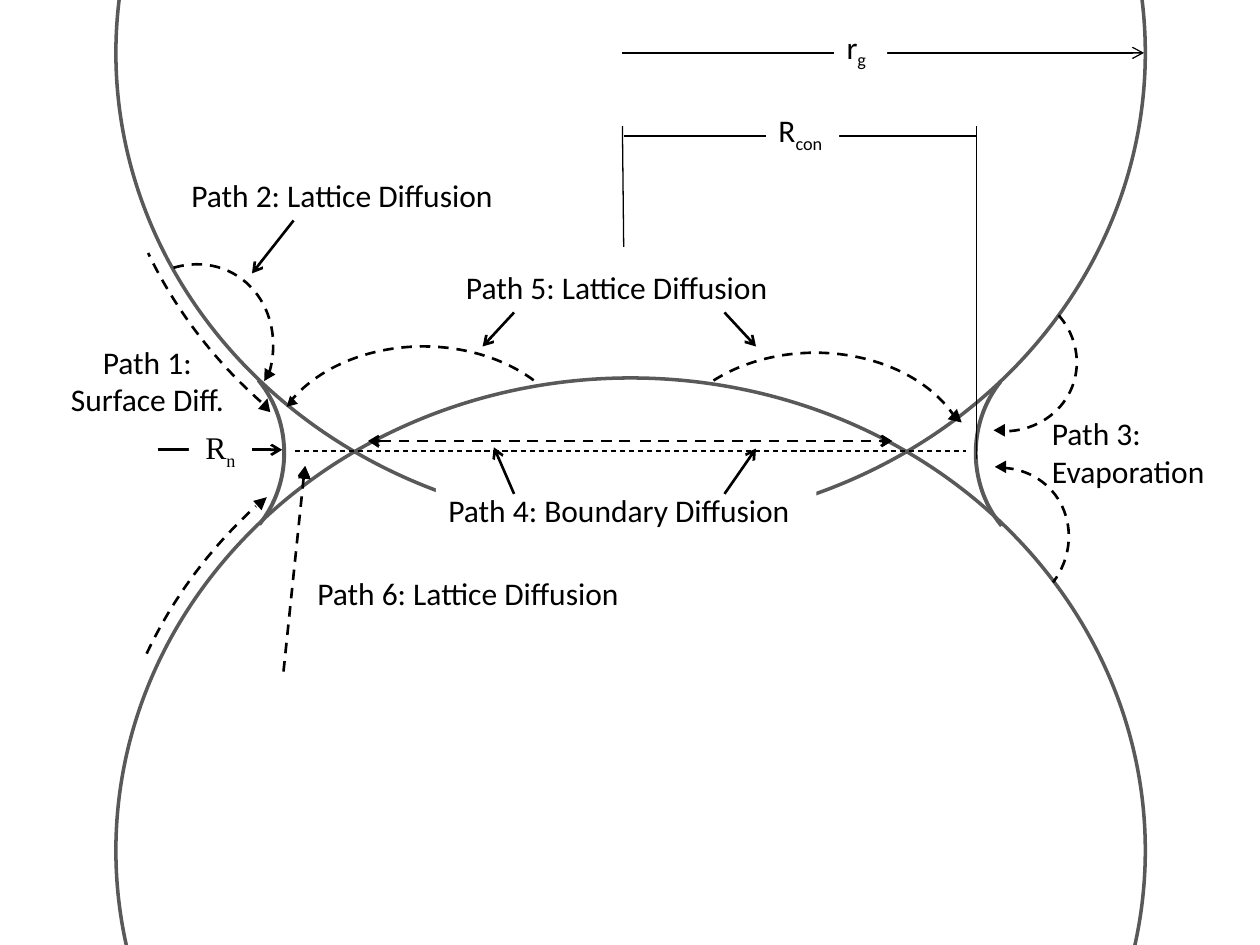
import pptx
import pptx.util
import pptx.dml.color
import pptx.enum.dml
import pptx.enum.shapes
import pptx.enum.text
import pptx.oxml
import pptx.oxml.ns
from pptx.util import Inches

BLACK = pptx.dml.color.RGBColor(0, 0, 0)
WHITE = pptx.dml.color.RGBColor(255, 255, 255)
GREY = pptx.dml.color.RGBColor(0x59, 0x59, 0x59)
KIND = pptx.enum.shapes.MSO_SHAPE
ALIGN = pptx.enum.text.PP_ALIGN


def child(parent, tag, **attrs):
    """Append a drawing element to a parent element."""
    node = pptx.oxml.parse_xml(f"<a:{tag} {pptx.oxml.ns.nsdecls('a')}/>")
    for name, value in attrs.items():
        node.set(name, value)
    parent.append(node)


def stroke(line, color, width, dash):
    """Set the look of an outline."""
    line.color.rgb = color
    line.width = pptx.util.Pt(width)
    if dash:
        line.dash_style = pptx.enum.dml.MSO_LINE.DASH


class Region:
    """A part of the slide whose items are placed from its top left corner."""

    def __init__(self, slide, left, top):
        """Keep the slide's shapes and the corner."""
        self.shapes, self.left, self.top = slide.shapes, left, top

    def place(self, x, y):
        """Turn a local point into slide lengths."""
        return Inches(self.left + x), Inches(self.top + y)

    def shape(self, kind, x, y, w, h, turn=0):
        """Add a plain preset shape."""
        item = self.shapes.add_shape(kind, *self.place(x, y), Inches(w), Inches(h))
        item.rotation = turn
        item.shadow.inherit = False
        return item

    def curve(self, kind, box, turn=0, ends=(), color=BLACK, width=1.5, dash=True):
        """Add an unfilled arc or ellipse."""
        item = self.shape(kind, *box, turn)
        item.fill.background()
        stroke(item.line, color, width, dash)
        for i, end in enumerate(ends):
            item.adjustments[i] = end

    def arc(self, box, turn, ends, **look):
        """Add an open arc, dashed unless told otherwise."""
        self.curve(KIND.ARC, box, turn, ends, **look)

    def tip(self, x, y, w, h, turn):
        """Add a solid triangle as the head of a path."""
        item = self.shape(KIND.ISOSCELES_TRIANGLE, x, y, w, h, turn)
        item.fill.solid()
        item.fill.fore_color.rgb = BLACK
        item.line.fill.background()

    def line(self, start, end, width=1.5, dash=False, arrow=True):
        """Add a straight line, with an arrowhead at its end by default."""
        item = self.shapes.add_connector(
            pptx.enum.shapes.MSO_CONNECTOR.STRAIGHT,
            *self.place(*start), *self.place(*end))
        stroke(item.line, BLACK, width, dash)
        if arrow:
            child(item.line._get_or_add_ln(), "tailEnd", type="arrow")
        child(item._element.spPr, "effectLst")

    def label(self, x, y, w, h, lines, sub="", align=ALIGN.LEFT, font="Calibri"):
        """Add a white text box, with an optional subscript."""
        item = self.shapes.add_textbox(*self.place(x, y), Inches(w), Inches(h))
        item.fill.solid()
        item.fill.fore_color.rgb = WHITE
        frame = item.text_frame
        frame.word_wrap = True
        frame.auto_size = pptx.enum.text.MSO_AUTO_SIZE.SHAPE_TO_FIT_TEXT
        para = frame.paragraphs[0]
        para.alignment = align
        for i, text in enumerate(lines):
            if i:
                para.add_line_break()
            add_run(para, text, font)
        if sub:
            run = add_run(para, sub, font)
            run._r.get_or_add_rPr().set("baseline", "-25000")


def add_run(para, text, font):
    """Add one run of label text."""
    run = para.add_run()
    run.text = text
    run.font.name = font
    run.font.size = pptx.util.Pt(18)
    run.font.color.rgb = BLACK
    return run


def surface(area):
    """Path 1: along both grain surfaces to the neck."""
    area.label(0, 0, 1.5, 0.71, ["Path 1:", "Surface Diff."], align=ALIGN.CENTER)
    for y, ends in ((-5.92, (190.03, 202.86)), (0.25, (12.91, 25.51))):
        area.arc((0.41, y, 8.19, 7.5), 180, ends)
    area.tip(1.61, 1.26, 0.1, 0.1, 48.1)
    area.tip(1.64, 0.49, 0.1, 0.1, 14.9)


def grains(area):
    """Two round grains and the necks that join them."""
    for y in (0, 6.33):
        area.curve(KIND.OVAL, (0.38, y, 8.17, 7.5), color=GREY, width=2, dash=False)
    for x, turn in ((0, 90), (7.16, 270)):
        area.arc((x, 6.09, 1.76, 1.67), turn, (136.52, 187.03),
                 color=GREY, width=2.25, dash=False)


def upper(area):
    """Path 2: through the lattice of the upper grain."""
    area.label(0.65, 0, 2.67, 0.4, ["Path 2: Lattice Diffusion"])
    area.line((1.56, 0.4), (1.23, 0.82))
    area.arc((0, 0.81, 1.46, 1.3), 298.6, (192.78, 46.44))
    area.tip(1.3, 1.59, 0.1, 0.09, 211)


def vapor(area):
    """Path 3: from the surfaces through the vapor."""
    area.label(0.96, 0.95, 1.42, 0.71, ["Path 3:", "Evaporation"])
    area.arc((0.05, 0, 1.21, 1.13), 16.9, (183.29, 42.94))
    area.arc((0, 1.44, 1.21, 1.13), 319.3, (190.38, 45.57))
    for x, y in ((0.59, 1.08), (0.6, 1.37)):
        area.tip(x, y, 0.1, 0.09, 270)


def border(area):
    """Path 4: along the boundary between the grains."""
    area.label(1.12, 0.39, 3.02, 0.4, ["Path 4: Boundary Diffusion"])
    area.line((0, 0.12), (5.33, 0.12), width=0.75, dash=True, arrow=False)
    for start, end in ((2.66, 0.58), (2.74, 4.74)):
        area.line((start, 0.04), (end, 0.04), dash=True)
    area.tip(0.58, 0.01, 0.1, 0.07, 270)
    area.tip(4.65, 0, 0.1, 0.08, 90)
    area.line((1.74, 0.46), (1.58, 0.09))
    area.line((3.41, 0.46), (3.66, 0.1))


def middle(area):
    """Path 5: from the boundary through the lattice."""
    area.label(1.47, 0, 2.67, 0.4, ["Path 5: Lattice Diffusion"])
    for start, end in ((1.95, 1.7), (3.62, 3.87)):
        area.line((start, 0.4), (end, 0.67))
    area.arc((0, 0.67, 2.46, 1.8), 0, (121.69, 196.21))
    area.arc((3.11, 0.72, 2.46, 1.8), 0, (132.05, 204.6))
    area.tip(0.13, 1.08, 0.09, 0.08, 226.3)
    area.tip(5.41, 1.19, 0.11, 0.1, 131.8)


def lower(area):
    """Path 6: from inside the lower grain."""
    area.line((0, 1.63), (0.17, 0), dash=True)
    area.tip(0.12, 0, 0.1, 0.1, 4.9)
    area.label(0.17, 0.81, 2.67, 0.4, ["Path 6: Lattice Diffusion"])


def radii(area):
    """Dimension lines for the grain and contact radii."""
    area.line((0, 0.25), (4.14, 0.25), width=0.75)
    for start, end in (((0.01, 1.79), (0, 0.83)), ((2.81, 3.47), (2.81, 0.83)),
                       ((0.01, 0.91), (2.81, 0.91))):
        area.line(start, end, width=0.75, arrow=False)
    area.label(1.14, 0.66, 0.58, 0.4, ["R"], "con")
    area.label(1.68, 0, 0.42, 0.4, ["r"], "g")


def neck(area):
    """Arrow for the neck radius."""
    area.line((0, 0.22), (0.99, 0.22))
    area.label(0.25, 0, 0.5, 0.4, ["R"], "n", ALIGN.CENTER, "Times New Roman")


deck = pptx.Presentation()
deck.slide_width, deck.slide_height = Inches(10), Inches(7.5)
slide = deck.slides.add_slide(deck.slide_layouts[6])
for draw, left, top in ((surface, 0.42, 2.67), (grains, 0.54, -3.33),
                        (upper, 0.77, 1.35), (vapor, 7.29, 2.29),
                        (border, 2.34, 3.46), (middle, 2.13, 2.08),
                        (lower, 2.25, 3.7), (radii, 4.94, 0.17),
                        (neck, 1.25, 3.35)):
    draw(Region(slide, left, top))
deck.save("out.pptx")
